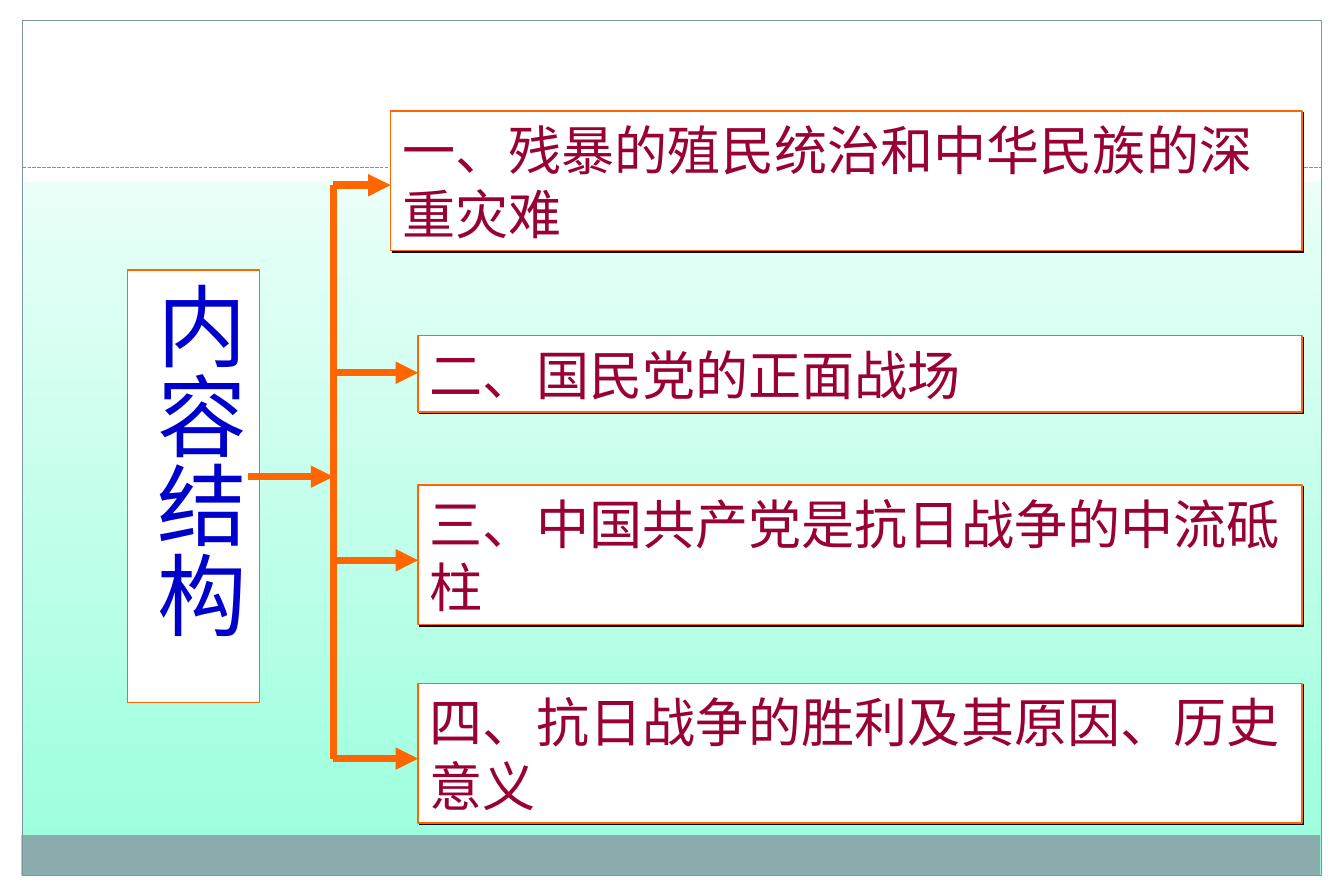
"""Build the content-structure slide: a vertical title branching to four topics."""
import pptx
import pptx.dml.color
import pptx.enum.dml
import pptx.enum.shapes
import pptx.enum.text
import pptx.oxml
import pptx.oxml.ns
import pptx.util

PX = 9144
FONT = "Noto Sans CJK JP"
WHITE, ORANGE, BLUE, CRIMSON = "FFFFFF", "FF6600", "0000CC", "990033"
FRAME_GREY, FOOTER_GREY, MINT = "7B9899", "8CADAE", "97FFDC"
TRUNK_X, ITEM_RIGHT = 279, 1090
MARGINS = [(0, 733, 1125, 17), (0, 0, 1125, 152), (0, 0, 19, 750), (1106, 0, 19, 750)]
ITEMS = [
    ("一、残暴的殖民统治和中华民族的深重灾难", 327, 93, 117, 155, 0.75),
    ("二、国民党的正面战场", 350, 281, 64, 312, 0.75),
    ("三、中国共产党是抗日战争的中流砥柱", 350, 406, 117, 469, 0.75),
    ("四、抗日战争的胜利及其原因、历史意义", 350, 572, 117, 635, 0),
]


def px(length):
    return pptx.util.Emu(length * PX)


def color(value):
    return pptx.dml.color.RGBColor.from_string(value)


def add_xml(parent, tag, content="", attributes=""):
    namespace = pptx.oxml.ns.nsdecls("a")
    parent.append(pptx.oxml.parse_xml(f"<a:{tag} {namespace} {attributes}>{content}</a:{tag}>"))


def paint_background(slide):
    fill = slide.background.fill
    fill.gradient()
    fill.gradient_angle = 270
    for stop, value in zip(fill.gradient_stops, (WHITE, MINT)):
        stop.color.rgb = color(value)


def add_box(slide, bounds, fill=None, line=None, width=0.75):
    kind = pptx.enum.shapes.MSO_SHAPE.RECTANGLE
    shape = slide.shapes.add_shape(kind, *map(px, bounds))
    shape.shadow.inherit = False
    if fill:
        shape.fill.solid()
        shape.fill.fore_color.rgb = color(fill)
    else:
        shape.fill.background()
    if line:
        shape.line.color.rgb = color(line)
        shape.line.width = pptx.util.Pt(width)
    else:
        shape.line.fill.background()
    return shape


def add_line(slide, start, end, value=ORANGE, width=4.5, arrow=False):
    kind = pptx.enum.shapes.MSO_CONNECTOR.STRAIGHT
    connector = slide.shapes.add_connector(kind, *map(px, start + end))
    connector.line.color.rgb = color(value)
    connector.line.width = pptx.util.Pt(width)
    if arrow:
        add_xml(connector.line._get_or_add_ln(), "tailEnd", attributes='type="triangle"')
    add_xml(connector._element.spPr, "effectLst")
    return connector


def write_text(shape, text, size, value, alignment, anchor, insets):
    frame = shape.text_frame
    frame.text = text
    frame.word_wrap = True
    frame.auto_size = pptx.enum.text.MSO_AUTO_SIZE.SHAPE_TO_FIT_TEXT
    frame.vertical_anchor = anchor
    frame.margin_left = frame.margin_right = px(insets[0])
    frame.margin_top = frame.margin_bottom = px(insets[1])
    paragraph = frame.paragraphs[0]
    paragraph.alignment = alignment
    font = paragraph.runs[0].font
    font.size = pptx.util.Pt(size)
    font.color.rgb = color(value)
    font.name = FONT
    add_xml(font._element, "ea", attributes=f'typeface="{FONT}"')


def add_title(slide):
    shape = add_box(slide, (107, 226, 110, 362), WHITE, ORANGE)
    write_text(shape, "内容结构", 54, BLUE, pptx.enum.text.PP_ALIGN.CENTER,
               pptx.enum.text.MSO_ANCHOR.TOP, (5, 10))
    shape.text_frame._txBody.bodyPr.set("vert", "eaVert")


def add_item(slide, text, left, top, height, arrow_y, width):
    shape = add_box(slide, (left, top, ITEM_RIGHT - left, height), WHITE, ORANGE, width)
    effects = shape._element.spPr.find(pptx.oxml.ns.qn("a:effectLst"))
    add_xml(effects, "outerShdw", '<a:srgbClr val="000000"/>',
            'dist="17780" dir="2700000" algn="ctr" rotWithShape="0"')
    write_text(shape, text, 32, CRIMSON, pptx.enum.text.PP_ALIGN.LEFT,
               pptx.enum.text.MSO_ANCHOR.MIDDLE, (10, 5))
    add_line(slide, (TRUNK_X, arrow_y), (left, arrow_y), arrow=True)


def add_frame(slide):
    for bounds in MARGINS:
        add_box(slide, bounds, WHITE)
    add_box(slide, (18, 699, 1087, 34), FOOTER_GREY)
    add_box(slide, (19, 17, 1087, 716), line=FRAME_GREY)
    divider = add_line(slide, (19, 140), (1106, 140), FRAME_GREY, 0.75)
    divider.line.dash_style = pptx.enum.dml.MSO_LINE.SQUARE_DOT


def main():
    presentation = pptx.Presentation()
    presentation.slide_width, presentation.slide_height = px(1125), px(750)
    slide = presentation.slides.add_slide(presentation.slide_layouts[6])
    paint_background(slide)
    add_frame(slide)
    add_title(slide)
    add_line(slide, (TRUNK_X, 155), (TRUNK_X, 635))
    for item in ITEMS:
        add_item(slide, *item)
    add_line(slide, (208, 399), (TRUNK_X, 399), arrow=True)
    presentation.save("out.pptx")


if __name__ == "__main__":
    main()
